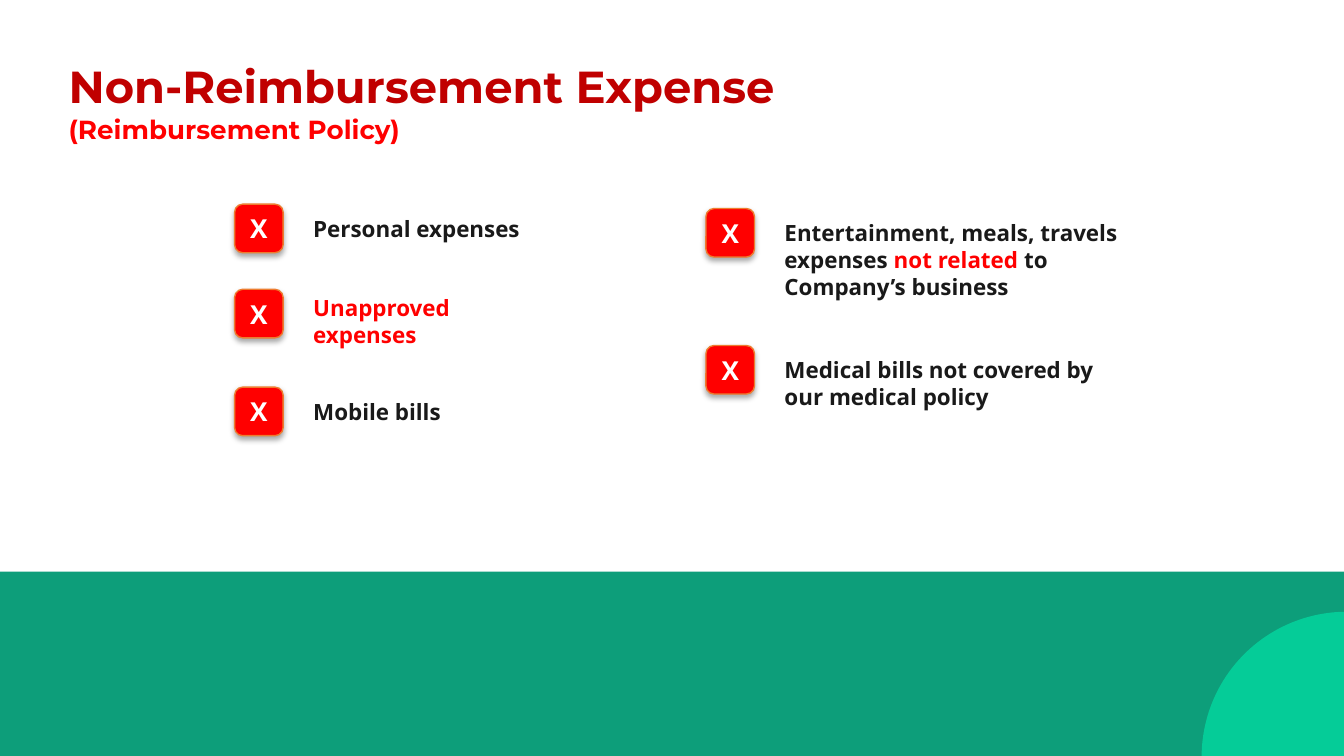
from lxml import etree
from pptx import Presentation
from pptx.dml.color import RGBColor
from pptx.enum.shapes import MSO_SHAPE as SHAPE
from pptx.enum.text import MSO_ANCHOR as ANCHOR, MSO_AUTO_SIZE as AUTO, PP_ALIGN as ALIGN
from pptx.oxml import parse_xml
from pptx.oxml.ns import nsdecls, qn
from pptx.util import Pt

COLORS = {
    "band": "0D9E7A", "corner": "05CC98", "title": "C00000", "red": "FF0000",
    "ink": "191919", "white": "FFFFFF", "badge_line": "EE7C2F", "shadow": "000000",
}
BADGE = 26
LABEL_DX = 35


def rgb(name):
    return RGBColor.from_string(COLORS[name])


def add_run(p, text, size, color, font="Open Sans"):
    r = p.add_run()
    r.text = text
    r.font.name = font
    r.font.size = Pt(size)
    r.font.bold = True
    r.font.color.rgb = rgb(color)


def add_filled(slide, kind, x, y, w, h, color):
    sp = slide.shapes.add_shape(kind, Pt(x), Pt(y), Pt(w), Pt(h))
    sp.shadow.inherit = False
    sp.fill.solid()
    sp.fill.fore_color.rgb = rgb(color)
    sp.line.fill.background()
    return sp


def add_footer(slide, x, y, w, h):
    add_filled(slide, SHAPE.RECTANGLE, x, y, w, h, "band")
    radius = 77.75
    corner = add_filled(slide, SHAPE.PIE, x + w + 1.5 - radius, y + h + 0.5 - radius,
                        2 * radius, 2 * radius, "corner")
    corner.adjustments[0] = 108
    corner.adjustments[1] = 162


def add_title(slide, x, y, w, h):
    sp = slide.shapes.title
    sp.left, sp.top, sp.width, sp.height = Pt(x), Pt(y), Pt(w), Pt(h)
    tf = sp.text_frame
    tf.word_wrap = True
    tf.auto_size = AUTO.NONE
    tf.vertical_anchor = ANCHOR.TOP
    tf.margin_left = 0
    tf.margin_top = tf.margin_right = tf.margin_bottom = Pt(7.2)
    lines = [("Non-Reimbursement Expense", 24, "title"),
             ("(Reimbursement Policy)", 14, "red")]
    for i, (text, size, color) in enumerate(lines):
        p = tf.add_paragraph() if i else tf.paragraphs[0]
        p.alignment = ALIGN.LEFT
        p.space_before = Pt(0)
        pPr = p._p.get_or_add_pPr()
        pPr.set("marL", str(Pt(12.24)))
        pPr.set("indent", "0")
        add_run(p, text, size, color, "Montserrat")


def add_badge(slide, x, y):
    sp = add_filled(slide, SHAPE.ROUNDED_RECTANGLE, x, y, BADGE, BADGE, "red")
    sp.line.color.rgb = rgb("badge_line")
    sp.line.width = Pt(0.75)
    effects = sp._element.spPr.find(qn("a:effectLst"))
    effects.append(parse_xml(
        f'<a:outerShdw {nsdecls("a")} blurRad="{Pt(3.1)}" dist="{Pt(1.8)}" '
        f'dir="5400000" rotWithShape="0"><a:srgbClr val="{COLORS["shadow"]}">'
        '<a:alpha val="35000"/></a:srgbClr></a:outerShdw>'))
    tf = sp.text_frame
    tf.vertical_anchor = ANCHOR.MIDDLE
    p = tf.paragraphs[0]
    p.alignment = ALIGN.CENTER
    add_run(p, "X", 14, "white")


def add_expenses(slide, x, y, w, items):
    for badge_dy, label_dy, label_h, runs in items:
        top = y + badge_dy
        add_badge(slide, x, top)
        box = slide.shapes.add_textbox(Pt(x + LABEL_DX), Pt(top + label_dy),
                                       Pt(w - LABEL_DX), Pt(label_h))
        tf = box.text_frame
        tf.word_wrap = True
        tf.auto_size = AUTO.SHAPE_TO_FIT_TEXT
        for text, color in runs:
            add_run(tf.paragraphs[0], text, 12, color)


def main():
    prs = Presentation()
    prs.slide_width, prs.slide_height = Pt(720), Pt(405)
    slide = prs.slides.add_slide(prs.slide_layouts[5])
    add_footer(slide, 0, 306.3, 720, 98.7)
    add_title(slide, 24.5, 24.5, 438.5, 31)
    add_expenses(slide, 125.7, 109.4, 172, [
        (0, 2.2, 21.6, [("Personal expenses", "ink")]),
        (45.6, -0.7, 36, [("Unapproved expenses", "red")]),
        (98, 2.2, 21.6, [("Mobile bills", "ink")]),
    ])
    add_expenses(slide, 378.2, 111.7, 231, [
        (0, 2.2, 51, [("Entertainment, meals, travels expenses ", "ink"),
                      ("not related ", "red"),
                      ("to Company’s business", "ink")]),
        (73.4, 2.2, 36, [("Medical bills not covered by our medical policy", "ink")]),
    ])
    prs.save("out.pptx")


if __name__ == "__main__":
    main()
